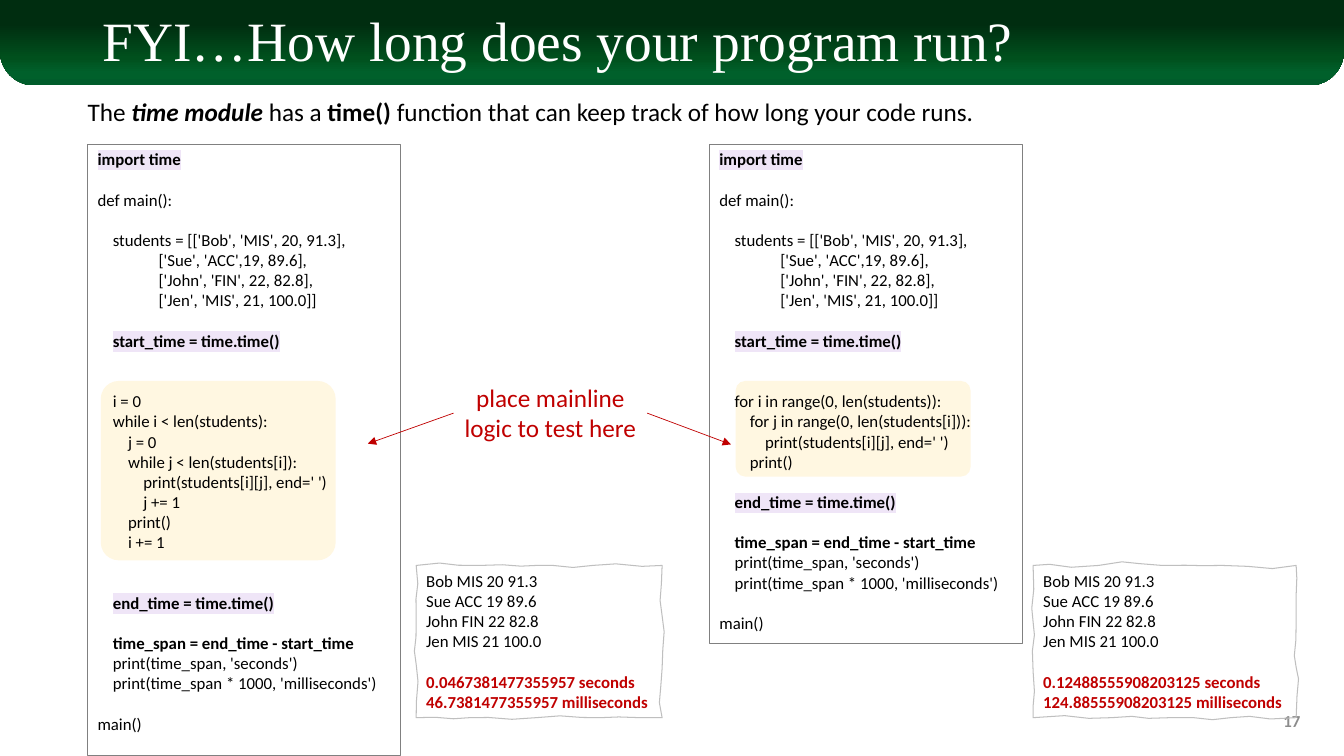
from dataclasses import dataclass

from lxml import etree
from pptx import Presentation
from pptx import util as u
from pptx.dml.color import RGBColor
from pptx.enum import shapes, text
from pptx.oxml import ns

WHITE = RGBColor(0xFF, 0xFF, 0xFF)
BLACK = RGBColor(0, 0, 0)
RED = RGBColor(0xC0, 0, 0)
CREAM = RGBColor(0xFF, 0xF7, 0xE1)
LILAC = RGBColor(0xEF, 0xE5, 0xF7)
GRAY = RGBColor(0x80, 0x80, 0x80)
NUMBER_GRAY = RGBColor(0x8C, 0x8C, 0x8C)
PAPER_GRAY = RGBColor(0xBF, 0xBF, 0xBF)
HEADER_STOPS = (
    (28, RGBColor(0, 0x2D, 0x10)),
    (68, RGBColor(0, 0x50, 0x1D)),
    (85, RGBColor(0, 0x60, 0x2B)),
    (100, RGBColor(0, 0x5C, 0x2B)),
)
LINE_PITCH = 14.4
SPACE_WIDTH = 0.096
CURVE_STEPS = 3
UNITS = 1000

CODE_START = """import time

def main():

    students = [['Bob', 'MIS', 20, 91.3],
                ['Sue', 'ACC',19, 89.6],
                ['John', 'FIN', 22, 82.8],
                ['Jen', 'MIS', 21, 100.0]]

    start_time = time.time()


"""
WHILE_LOOP = """    i = 0
    while i < len(students):
        j = 0
        while j < len(students[i]):
            print(students[i][j], end=' ')
            j += 1
        print()
        i += 1

"""
FOR_LOOP = """    for i in range(0, len(students)):
        for j in range(0, len(students[i])):
            print(students[i][j], end=' ')
        print()
"""
CODE_END = """
    end_time = time.time()

    time_span = end_time - start_time
    print(time_span, 'seconds')
    print(time_span * 1000, 'milliseconds')

main()"""
TIMING_LINES = ("import time", "start_time = time.time()", "end_time = time.time()")
SPAN_LINE = "time_span = end_time - start_time"
STUDENT_ROWS = """Bob MIS 20 91.3
Sue ACC 19 89.6
John FIN 22 82.8
Jen MIS 21 100.0

"""


@dataclass
class Box:
    left: float
    top: float
    width: float
    height: float

    def lengths(self) -> list:
        return [u.Cm(side) for side in (self.left, self.top, self.width, self.height)]


@dataclass
class CodeCard:
    box: Box
    loop_box: Box
    loop: str


@dataclass
class Printout:
    left: float
    top: float
    result: str
    outline: tuple


@dataclass
class Arrow:
    start: tuple
    end: tuple


CARDS = (
    CodeCard(Box(2.21, 3.63, 7.89, 15.42), Box(2.54, 9.6, 5.92, 4.52), WHILE_LOOP),
    CodeCard(Box(17.88, 3.63, 7.89, 12.58), Box(18.54, 9.6, 5.92, 2.41), FOR_LOOP),
)
PRINTOUTS = (
    Printout(10.49, 14.25, "0.0467381477355957 seconds\n46.7381477355957 milliseconds", (
        (4.13, 5.61), (4.41, 5.54), (4.51, 5.64), (4.76, 5.61), (5.01, 5.58), (5.18, 5.64),
        (5.32, 5.61), (5.46, 5.58), (5.7, 5.67), (5.88, 5.61), (6.07, 5.55), (6.43, 5.66),
        (6.57, 5.61), (6.58, 5.79), (6.52, 5.97), (6.57, 6.11), (6.62, 6.25), (6.56, 6.45),
        (6.57, 6.63), (6.57, 6.81), (6.51, 6.98), (6.57, 7.12), (6.35, 7.13), (6.12, 7.1),
        (5.96, 7.12), (5.8, 7.14), (5.56, 7.07), (5.32, 7.12), (5.09, 7.17), (4.81, 7.09),
        (4.66, 7.12), (4.52, 7.16), (4.31, 7.09), (4.13, 7.12), (4.11, 7.01), (4.18, 6.72),
        (4.13, 6.59), (4.08, 6.45), (4.15, 6.36), (4.13, 6.13), (4.1, 5.9), (4.18, 5.83),
        (4.13, 5.61))),
    Printout(26.04, 14.25, "0.12488555908203125 seconds\n124.88555908203125 milliseconds", (
        (10.25, 5.61), (10.39, 5.55), (10.6, 5.68), (10.9, 5.61), (11.2, 5.53), (11.24, 5.61),
        (11.53, 5.61), (11.82, 5.6), (11.88, 5.62), (12.13, 5.61), (12.38, 5.59), (12.63, 5.69),
        (12.86, 5.61), (12.88, 5.72), (12.85, 5.87), (12.86, 6.13), (12.88, 6.38), (12.81, 6.52),
        (12.86, 6.62), (12.92, 6.71), (12.85, 6.88), (12.86, 7.12), (12.57, 7.18), (12.4, 7.06),
        (12.21, 7.12), (12.02, 7.18), (11.88, 7.09), (11.61, 7.12), (11.34, 7.16), (11.28, 7.07),
        (11.03, 7.12), (10.79, 7.17), (10.62, 7.05), (10.25, 7.12), (10.23, 7.02), (10.29, 6.89),
        (10.25, 6.66), (10.21, 6.43), (10.3, 6.29), (10.25, 6.17), (10.2, 6.06), (10.29, 5.87),
        (10.25, 5.61))),
)
ARROWS = (Arrow((11.43, 10.41), (9.27, 11.18)), Arrow((16.31, 10.41), (18.42, 11.2)))


def add_run(paragraph, words: str, *, size: float = 12, color=BLACK, font: str = "Calibri",
            bold: bool = False, italic: bool = False, highlight=None) -> None:
    run = paragraph.add_run()
    run.text = words
    run.font.size, run.font.name = u.Pt(size), font
    run.font.bold, run.font.italic = bold, italic
    run.font.color.rgb = color
    if highlight is not None:
        fill = run.font._element.find(ns.qn("a:solidFill"))
        mark = etree.Element(ns.qn("a:highlight"))
        etree.SubElement(mark, ns.qn("a:srgbClr"), val=str(highlight))
        fill.addnext(mark)


def write_lines(frame, lines: str, style_for) -> None:
    blanks, paragraph = 0, None
    for line in lines.split("\n"):
        words = line.lstrip()
        if not words:
            blanks += 1
            continue
        paragraph = frame.add_paragraph() if paragraph is not None else frame.paragraphs[0]
        paragraph.alignment = text.PP_ALIGN.LEFT
        paragraph.space_before = u.Pt(blanks * LINE_PITCH)
        indent = u.Cm((len(line) - len(words)) * SPACE_WIDTH)
        paragraph._p.get_or_add_pPr().set("marL", str(indent))
        add_run(paragraph, words, **style_for(words))
        blanks = 0


def code_style(line: str) -> dict:
    timed = line in TIMING_LINES
    return {"bold": timed or line == SPAN_LINE, "highlight": LILAC if timed else None}


def printout_style(line: str) -> dict:
    return {"bold": True, "color": RED} if line.endswith("seconds") else {}


def add_panel(slide, kind, box: Box, *, fill=None, line=None):
    shape = slide.shapes.add_shape(kind, *box.lengths())
    finish(shape, fill, line)
    return shape


def finish(shape, fill, line) -> None:
    shape.shadow.inherit = False
    if fill is None:
        shape.fill.background()
    else:
        shape.fill.solid()
        shape.fill.fore_color.rgb = fill
    if line is None:
        shape.line.fill.background()
    else:
        shape.line.color.rgb, shape.line.width = line, u.Pt(0.75)
    shape.text_frame.vertical_anchor = text.MSO_ANCHOR.TOP


def add_label(slide, box: Box, *, align=text.PP_ALIGN.LEFT, anchor=text.MSO_ANCHOR.TOP,
              wrap: bool = True):
    frame = slide.shapes.add_textbox(*box.lengths()).text_frame
    frame.word_wrap, frame.vertical_anchor = wrap, anchor
    frame.paragraphs[0].alignment = align
    return frame.paragraphs[0]


def add_header(slide) -> None:
    header = add_panel(slide, shapes.MSO_SHAPE.ROUND_2_SAME_RECTANGLE, Box(0, 0, 33.87, 2.15))
    header.adjustments[0], header.adjustments[1] = 0, 0.4
    header.fill.gradient()
    header.fill.gradient_angle = 270
    stops = header._element.spPr.find(".//" + ns.qn("a:gsLst"))
    stops.clear()
    for percent, color in HEADER_STOPS:
        stop = etree.SubElement(stops, ns.qn("a:gs"), pos=str(percent * 1000))
        etree.SubElement(stop, ns.qn("a:srgbClr"), val=str(color))


def curve_points(outline: tuple) -> list:
    points = [outline[0]]
    for first in range(0, len(outline) - 1, 3):
        controls = outline[first:first + 4]
        for step in range(1, CURVE_STEPS + 1):
            t = step / CURVE_STEPS
            weights = ((1 - t) ** 3, 3 * t * (1 - t) ** 2, 3 * t * t * (1 - t), t ** 3)
            points.append(tuple(sum(w * c[axis] for w, c in zip(weights, controls))
                                for axis in (0, 1)))
    return [(x * UNITS, y * UNITS) for x, y in points[:-1]]


def add_printout(slide, printout: Printout) -> None:
    start, *others = curve_points(printout.outline)
    builder = slide.shapes.build_freeform(*start, scale=u.Cm(2.54) / UNITS)
    builder.add_line_segments(others, close=True)
    shape = builder.convert_to_shape()
    finish(shape, None, PAPER_GRAY)
    frame = shape.text_frame
    frame.word_wrap = False
    frame.margin_left = u.Cm(printout.left + 0.25) - shape.left
    frame.margin_top = u.Cm(printout.top + 0.13) - shape.top
    write_lines(frame, STUDENT_ROWS + printout.result, printout_style)


def add_arrow(slide, arrow: Arrow) -> None:
    ends = [u.Cm(value) for value in arrow.start + arrow.end]
    connector = slide.shapes.add_connector(shapes.MSO_CONNECTOR.STRAIGHT, *ends)
    connector.line.color.rgb, connector.line.width = RED, u.Pt(0.5)
    etree.SubElement(connector.get_or_add_ln(), ns.qn("a:tailEnd"), type="triangle")
    etree.SubElement(connector._element.spPr, ns.qn("a:effectLst"))


def main() -> None:
    presentation = Presentation()
    presentation.slide_width, presentation.slide_height = u.Cm(33.87), u.Cm(19.05)
    slide = presentation.slides.add_slide(presentation.slide_layouts[6])
    add_header(slide)
    for card in CARDS:
        loop = add_panel(slide, shapes.MSO_SHAPE.ROUNDED_RECTANGLE, card.loop_box, fill=CREAM)
        loop.adjustments[0] = 0.1
    title = add_label(slide, Box(2.34, 0.33, 29.21, 1.55), anchor=text.MSO_ANCHOR.MIDDLE)
    title.line_spacing = 0.9
    add_run(title, "FYI…How long does your program run?", size=39.6, color=WHITE,
            font="Times New Roman")
    number = add_label(slide, Box(25.4, 17.65, 7.62, 1.02), align=text.PP_ALIGN.RIGHT,
                       anchor=text.MSO_ANCHOR.MIDDLE)
    add_run(number, "17", color=NUMBER_GRAY, bold=True)
    for card in CARDS:
        panel = add_panel(slide, shapes.MSO_SHAPE.RECTANGLE, card.box, line=GRAY)
        write_lines(panel.text_frame, CODE_START + card.loop + CODE_END, code_style)
    for printout in PRINTOUTS:
        add_printout(slide, printout)
    hint = add_label(slide, Box(11.43, 9.5, 4.88, 1.8), align=text.PP_ALIGN.CENTER)
    add_run(hint, "place mainline logic to test here", size=18, color=RED)
    for arrow in ARROWS:
        add_arrow(slide, arrow)
    intro = add_label(slide, Box(1.96, 2.31, 23.09, 1.02), wrap=False)
    add_run(intro, "The ", size=18)
    add_run(intro, "time module ", size=18, bold=True, italic=True)
    add_run(intro, "has a ", size=18)
    add_run(intro, "time()", size=18, bold=True)
    add_run(intro, " function that can keep track of how long your code runs.", size=18)
    presentation.save("out.pptx")


main()
